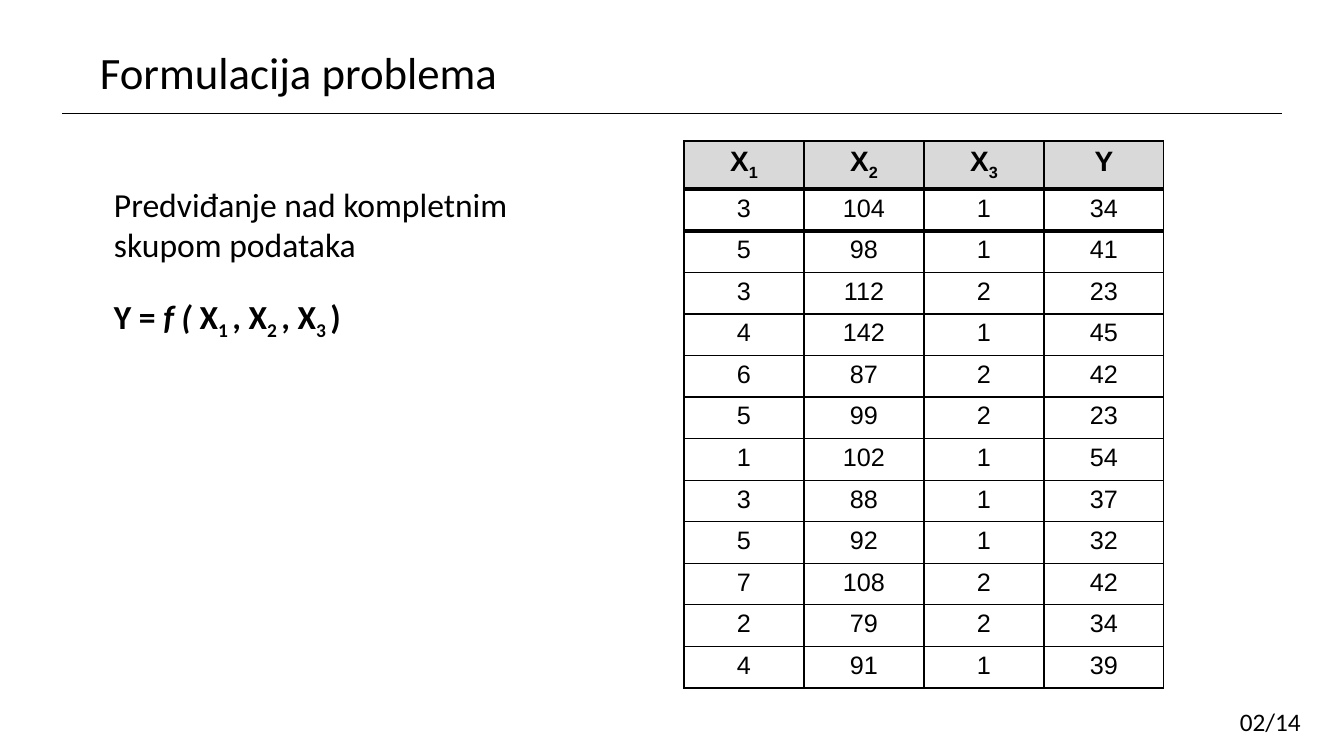
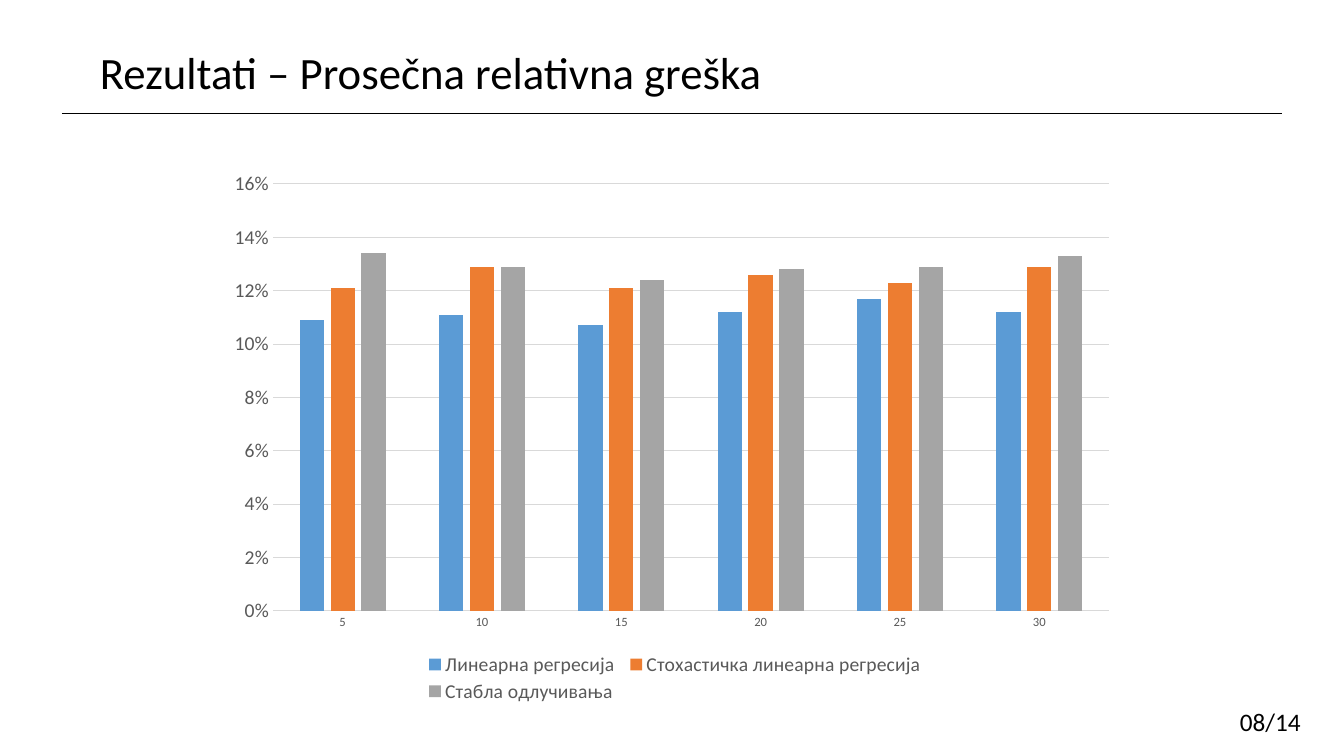
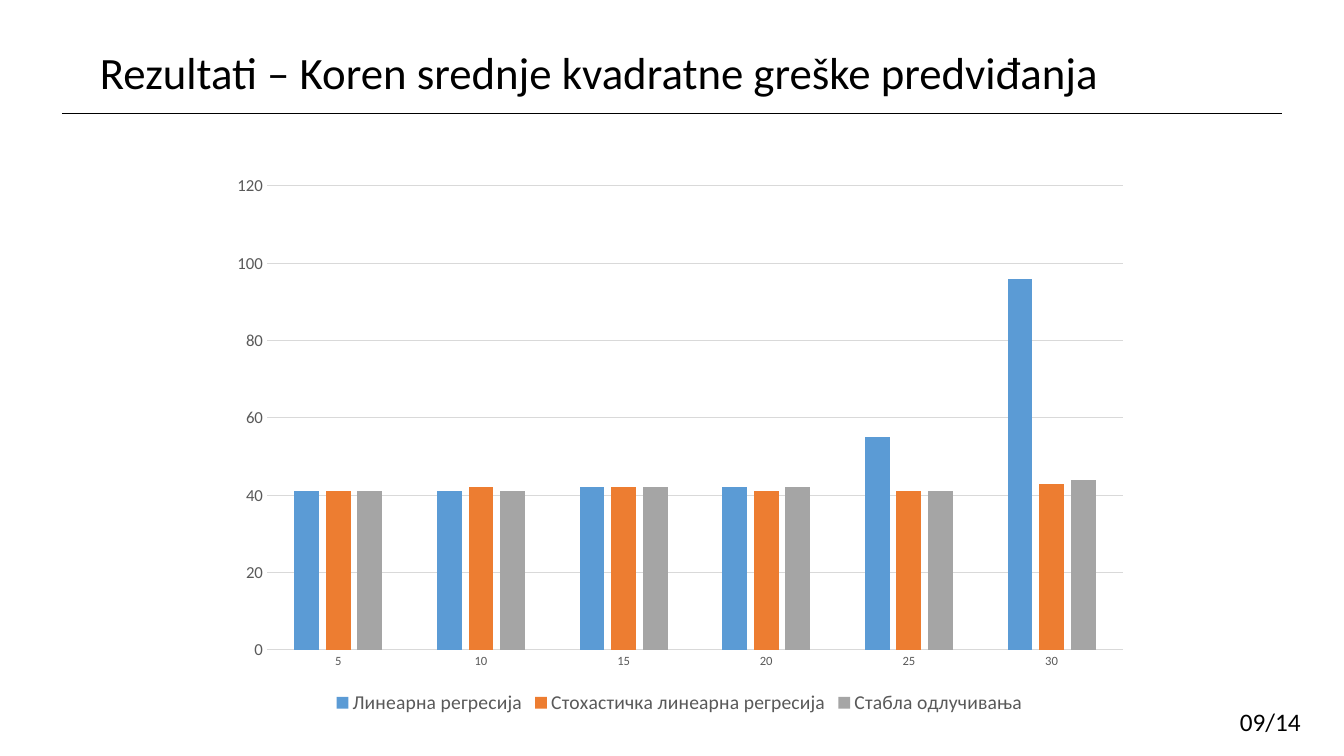
from lxml.etree import SubElement
from pptx import Presentation
from pptx.chart.data import CategoryChartData
from pptx.dml.color import RGBColor
from pptx.enum.chart import XL_CHART_TYPE, XL_LEGEND_POSITION, XL_TICK_MARK
from pptx.enum.shapes import MSO_CONNECTOR
from pptx.enum.text import PP_ALIGN
from pptx.oxml import parse_xml
from pptx.oxml.ns import nsdecls, qn
from pptx.util import Pt

SCALE = 914400 / 100.8  # EMU in one px
COLOURS = {"ink": "000000", "header": "D9D9D9", "grid": "D9D9D9", "label": "595959"}

# Content
HEADINGS = [[("X", ""), (str(n), "s")] for n in (1, 2, 3)] + ["Y"]
ROWS = [
    (3, 104, 1, 34), (5, 98, 1, 41), (3, 112, 2, 23), (4, 142, 1, 45),
    (6, 87, 2, 42), (5, 99, 2, 23), (1, 102, 1, 54), (3, 88, 1, 37),
    (5, 92, 1, 32), (7, 108, 2, 42), (2, 79, 2, 34), (4, 91, 1, 39),
]
STATEMENT = ["Predviđanje nad kompletnim", "skupom podataka"]
# Span marks: i = italic, s = subscript
FORMULA = [("Y = ", ""), ("f ( ", "i"), ("X", ""), ("1 ", "s"), (", X", ""),
           ("2 ", "s"), (", X", ""), ("3 ", "s"), (")", "")]

CATEGORIES = ["5", "10", "15", "20", "25", "30"]
METHODS = [("Линеарна регресија", "5B9BD5"),
           ("Стохастичка линеарна регресија", "ED7D31"),
           ("Стабла одлучивања", "A5A5A5")]
RELATIVE_ERROR = {
    "values": [(0.109, 0.111, 0.107, 0.112, 0.117, 0.112),
               (0.121, 0.129, 0.121, 0.126, 0.123, 0.129),
               (0.134, 0.129, 0.124, 0.128, 0.129, 0.133)],
    "area": (217, 161, 911, 546), "plot": (273, 184, 836, 427),
    "legend": (420, 650, 510, 56),
    "top": 0.16, "step": 0.02, "number_format": "0%", "value_size": 14,
}
SQUARE_ERROR = {
    "values": [(41, 41, 42, 42, 55, 96), (41, 42, 42, 41, 41, 43), (41, 41, 42, 42, 41, 44)],
    "area": (218, 165, 923, 554), "plot": (267, 186, 856, 464),
    "legend": None,
    "top": 120, "step": 20, "number_format": "General", "value_size": 12,
}


def px(*lengths):
    return [round(length * SCALE) for length in lengths]


def rgb(name):
    return RGBColor.from_string(COLOURS.get(name, name))


def write(frame, paras, size=24, font="Calibri", bold=False, colour="ink", align=None):
    """Fill a text frame; a paragraph is a string or a list of (text, marks)."""
    for index, content in enumerate(paras):
        para = frame.paragraphs[0] if index == 0 else frame.add_paragraph()
        para.alignment = align
        for text, marks in [(content, "")] if isinstance(content, str) else content:
            span = para.add_run()
            span.text = text
            span.font.size, span.font.name, span.font.bold = Pt(size), font, bold
            span.font.italic = "i" in marks
            span.font.color.rgb = rgb(colour)
            if "s" in marks:
                span.font._element.set("baseline", "-25000")


def add_text(page, area, paras, **style):
    box = page.shapes.add_textbox(*px(*area))
    box.text_frame.word_wrap = True
    write(box.text_frame, paras, **style)


def add_page(deck, title, number):
    """Blank slide with the shared title, rule and page number."""
    page = deck.slides.add_slide(deck.slide_layouts[6])
    rule = page.shapes.add_connector(MSO_CONNECTOR.STRAIGHT, *px(62, 113, 1282, 113))
    rule.line.color.rgb = rgb("ink")
    rule.line.width = Pt(0.5)
    SubElement(rule._element.spPr, qn("a:effectLst"))
    add_text(page, (90, 40, 1180, 65), [title], size=32)
    add_text(page, (1230, 701, 105, 40), [f"{number:02}/14"], size=18)
    return page


def set_borders(cell, **widths):
    properties = cell._tc.get_or_add_tcPr()
    for side in "LRTB":
        width = Pt(widths.get(side, 1))
        properties.append(parse_xml(
            f'<a:ln{side} {nsdecls("a")} w="{width}"><a:solidFill>'
            f'<a:srgbClr val="{COLOURS["ink"]}"/></a:solidFill></a:ln{side}>'))


def add_data_table(page):
    header_height, body_height = px(45, 499)
    rows = [HEADINGS] + [[str(value) for value in row] for row in ROWS]
    table = page.shapes.add_table(len(rows), len(HEADINGS), *px(684, 141, 480, 544)).table
    table.first_row = table.horz_banding = False
    for index, row in enumerate(rows):
        header = index == 0
        table.rows[index].height = header_height if header else body_height // len(ROWS)
        # Heavy rules above and below the first data row
        heavy = {"T": 3 if index in (1, 2) else 1, "B": 3 if index in (0, 1) else 1}
        for column, content in enumerate(row):
            cell = table.cell(index, column)
            set_borders(cell, **heavy)
            if header:
                cell.fill.solid()
                cell.fill.fore_color.rgb = rgb("header")
            else:
                cell.fill.background()
            write(cell.text_frame, [content], size=20 if header else 18,
                  font="Arial", bold=header, align=PP_ALIGN.CENTER)


def place(parent, position, area, chart_area, target=""):
    """Fix a chart part at a px area, as fractions of the chart."""
    for old in parent.findall(qn("c:layout")):
        parent.remove(old)
    left, top, width, height = chart_area
    fractions = {"x": (area[0] - left) / width, "y": (area[1] - top) / height,
                 "w": area[2] / width, "h": area[3] / height}
    modes = '<c:xMode val="edge"/><c:yMode val="edge"/>'
    sizes = "".join(f'<c:{key} val="{value:.4f}"/>' for key, value in fractions.items())
    parent.insert(position, parse_xml(
        f'<c:layout {nsdecls("c")}><c:manualLayout>{target}{modes}{sizes}'
        "</c:manualLayout></c:layout>"))


def set_font(font, size):
    font.size, font.name = Pt(size), "Calibri"
    font.color.rgb = rgb("label")


def set_line(line):
    line.color.rgb = rgb("grid")
    line.width = Pt(0.75)


def add_error_chart(page, data):
    chart_data = CategoryChartData(number_format=data["number_format"])
    chart_data.categories = CATEGORIES
    for (name, _), values in zip(METHODS, data["values"]):
        chart_data.add_series(name, values)
    chart = page.shapes.add_chart(
        XL_CHART_TYPE.COLUMN_CLUSTERED, *px(*data["area"]), chart_data).chart
    chart.has_title = False
    set_font(chart.font, 10)

    # Bars
    plot = chart.plots[0]
    plot.gap_width, plot.overlap, plot.vary_by_categories = 219, -27, False
    for series, (_, colour) in zip(plot.series, METHODS):
        series.format.fill.solid()
        series.format.fill.fore_color.rgb = rgb(colour)

    # Axes
    for axis, size in ((chart.category_axis, 9), (chart.value_axis, data["value_size"])):
        axis.major_tick_mark = axis.minor_tick_mark = XL_TICK_MARK.NONE
        set_font(axis.tick_labels.font, size)
    set_line(chart.category_axis.format.line)
    scale = chart.value_axis
    scale.minimum_scale, scale.maximum_scale, scale.major_unit = 0, data["top"], data["step"]
    scale.tick_labels.number_format = data["number_format"]
    scale.tick_labels.number_format_is_linked = False
    scale.format.line.fill.background()
    set_line(scale.major_gridlines.format.line)

    # Legend and layout
    chart.has_legend = True
    legend = chart.legend
    legend.position = XL_LEGEND_POSITION.BOTTOM
    legend.include_in_layout = False
    set_font(legend.font, 14)
    place(chart._chartSpace.chart.plotArea, 0, data["plot"], data["area"],
          '<c:layoutTarget val="inner"/>')
    if data["legend"]:
        place(legend._element, 1, data["legend"], data["area"])


def main():
    deck = Presentation()
    deck.slide_width, deck.slide_height = px(1344, 756)

    page = add_page(deck, "Formulacija problema", 2)
    add_data_table(page)
    add_text(page, (104, 179, 545, 92), STATEMENT)
    add_text(page, (104, 291, 545, 50), [FORMULA], bold=True)

    page = add_page(deck, "Rezultati – Prosečna relativna greška", 8)
    add_error_chart(page, RELATIVE_ERROR)

    page = add_page(deck, "Rezultati – Koren srednje kvadratne greške predviđanja", 9)
    add_error_chart(page, SQUARE_ERROR)

    deck.save("out.pptx")


if __name__ == "__main__":
    main()
